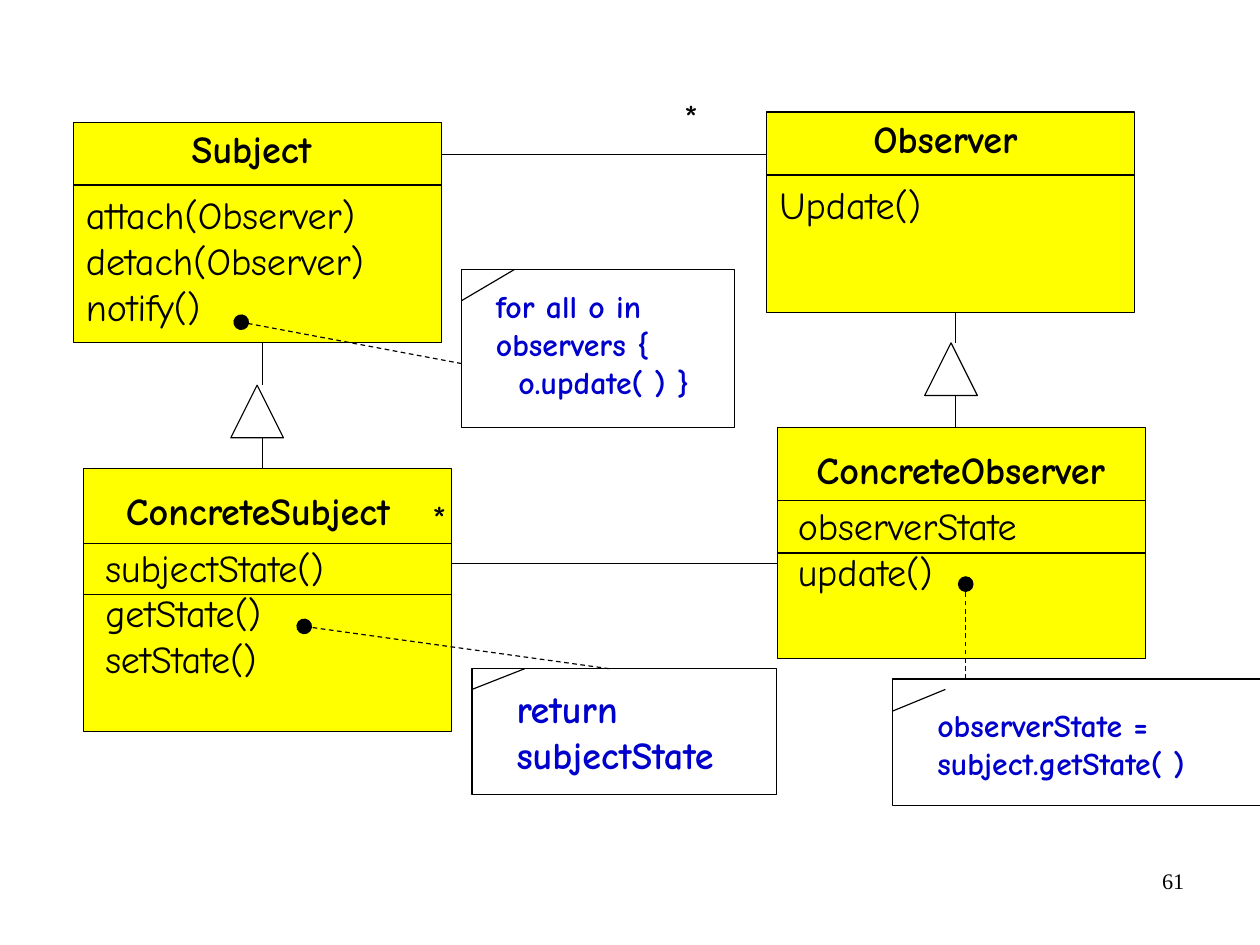
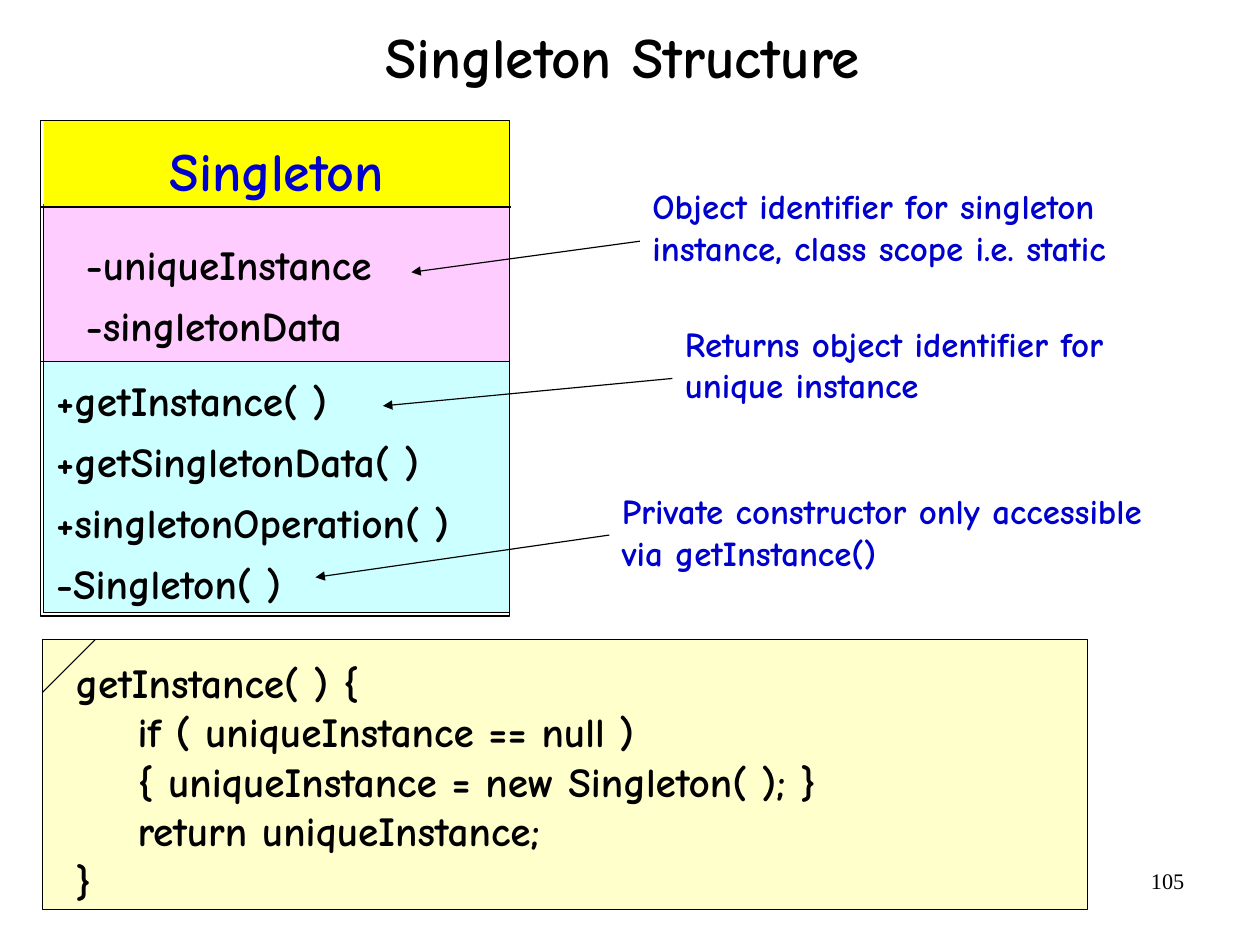
from lxml import etree
from pptx import Presentation
from pptx.dml.color import RGBColor
from pptx.enum.dml import MSO_LINE
from pptx.enum.shapes import MSO_CONNECTOR, MSO_SHAPE
from pptx.enum.text import MSO_ANCHOR, PP_ALIGN
from pptx.oxml.ns import qn
from pptx.util import Cm, Pt

RECT = MSO_SHAPE.RECTANGLE
TRIANGLE = MSO_SHAPE.ISOSCELES_TRIANGLE
STRAIGHT = MSO_CONNECTOR.STRAIGHT
DASH = MSO_LINE.DASH
LEFT, CENTER, RIGHT = PP_ALIGN.LEFT, PP_ALIGN.CENTER, PP_ALIGN.RIGHT
TOP, MIDDLE = MSO_ANCHOR.TOP, MSO_ANCHOR.MIDDLE

COLORS = {"black": "000000", "blue": "0000CC", "yellow": "FFFF00",
          "pink": "FFCCFF", "cyan": "CCFFFF", "cream": "FFFFCC"}
FONT, NUMBER_FONT = "Comic Neue", "Times New Roman"
LINE_WIDTH = Pt(0.75)
FOLD = 1.17
MEMBER_WIDTH = 7.7


def add_item(s, kind, at, fill=None, line="black", lines=(), size=24, color="black",
             bold=False, align=LEFT, anchor=TOP, font=FONT, spacing=None, after=0):
    """Add a preset shape, or a text box if kind is None; return its paragraphs.

    A line of text may be a pair of text and left indent in cm.
    """
    box = [Cm(v) for v in at]
    if kind is None:
        sp = s.shapes.add_textbox(*box)
    else:
        sp = s.shapes.add_shape(kind, *box)
        sp.shadow.inherit = False
        if fill:
            sp.fill.solid()
            sp.fill.fore_color.rgb = RGBColor.from_string(COLORS[fill])
        else:
            sp.fill.background()
        if line:
            sp.line.color.rgb = RGBColor.from_string(COLORS[line])
            sp.line.width = LINE_WIDTH
        else:
            sp.line.fill.background()
    tf = sp.text_frame
    tf.word_wrap = True
    tf.vertical_anchor = anchor
    tf.margin_left = tf.margin_right = Cm(0.28)
    tf.margin_top = tf.margin_bottom = Cm(0.15)
    for i, text in enumerate(lines):
        text, indent = text if isinstance(text, tuple) else (text, 0)
        p = tf.add_paragraph() if i else tf.paragraphs[0]
        p.alignment = align
        p.space_after = Pt(after)
        if spacing:
            p.line_spacing = spacing
        if indent:
            p._p.get_or_add_pPr().set("marL", str(Cm(indent)))
        r = p.add_run()
        r.text = text
        r.font.name = font
        r.font.size = Pt(size)
        r.font.bold = bold
        r.font.color.rgb = RGBColor.from_string(COLORS[color])


def add_line(s, x1, y1, x2, y2, tail=None, tail_size="med", dash=None):
    c = s.shapes.add_connector(STRAIGHT, Cm(x1), Cm(y1), Cm(x2), Cm(y2))
    c.line.color.rgb = RGBColor.from_string(COLORS["black"])
    c.line.width = LINE_WIDTH
    if dash:
        c.line.dash_style = dash
    if tail:
        etree.SubElement(c.line._get_or_add_ln(), qn("a:tailEnd"),
                         type=tail, w=tail_size, len=tail_size)
    etree.SubElement(c._element.spPr, qn("a:effectLst"))


prs = Presentation()
prs.slide_width, prs.slide_height = Cm(28), Cm(21)
slides = []
for number in ("61", "105"):
    s = prs.slides.add_slide(prs.slide_layouts[6])
    add_item(s, None, (20.07, 19.13, 6.53, 1.45), lines=[number], size=14,
             align=RIGHT, font=NUMBER_FONT)
    slides.append(s)
observer_slide, singleton_slide = slides

# Observer: class boxes
s = observer_slide
# name, box, name centre, name height, dividers, members at, members
classes = [
    ("Subject", (1.63, 2.72, 8.18, 4.9), 5.59, 1.17, [4.11], (1.63, 4.11),
     ["attach(Observer)", "detach(Observer)", "notify()"]),
    ("Observer", (17.04, 2.49, 8.18, 4.45), 21.01, 1.17, [3.89], (17.04, 3.89),
     ["Update()"]),
    ("ConcreteObserver", (17.27, 9.5, 8.18, 5.13), 21.35, 1.85, [11.13, 12.29],
     (17.45, 11.02), ["observerState", "update()"]),
    ("ConcreteSubject", (1.85, 10.41, 8.18, 5.84), 5.73, 1.85, [12.07, 13.21],
     (2.06, 11.94), ["subjectState()", "getState()", "setState()"]),
]
for name, box, center, name_height, dividers, (x, y), members in classes:
    left, top, width, height = box
    add_item(s, RECT, box, fill="yellow")
    for divider in dividers:
        add_line(s, left, divider, left + width, divider)
    add_item(s, None, (center - MEMBER_WIDTH / 2, top, MEMBER_WIDTH, name_height),
             lines=[name], bold=True, align=CENTER, anchor=MIDDLE)
    add_item(s, None, (x, y, MEMBER_WIDTH, 1.17 * len(members)), lines=members)

# Observer: inheritance, from parent bottom to child top
for left, top, stem, parent, child in [(20.55, 7.62, 21.23, 6.94, 9.5),
                                       (5.13, 8.56, 5.84, 7.62, 10.41)]:
    add_item(s, TRIANGLE, (left, top, 1.17, 1.17))
    add_line(s, stem, parent, stem, top)
    add_line(s, stem, top + 1.17, stem, child)

# Observer: associations
for x1, x2, y in [(9.81, 17.04, 3.43), (10.03, 17.27, 12.52)]:
    add_line(s, x1, y, x2, y)
for x, y in [(14.91, 1.95), (9.32, 10.85)]:
    add_item(s, None, (x, y, 1.04, 1.32), lines=["*"])

# Observer: notes
# box, fold top, fold height, text at, size, text, dashed link
notes = [
    ((19.84, 15.09, 8.18, 2.82), 15.32, 0.48, (20.55, 15.54, 7.29, 1.98), 20,
     ["observerState =", "subject.getState( )"], (21.46, 15.09, 21.46, 12.98)),
    ((10.49, 14.86, 6.76, 2.79), 14.86, 0.46, (11.2, 15.09, 5.94, 2.34), 24,
     ["return", "subjectState"], (13.54, 14.86, 6.76, 13.92)),
    ((10.26, 5.99, 6.07, 3.51), 5.99, 0.69, (10.74, 6.22, 5.56, 2.84), 20,
     ["for all o in", "observers {", "  o.update( ) }"], (10.26, 8.08, 5.36, 7.16)),
]
for box, fold_top, fold_height, text_at, size, lines, link in notes:
    add_item(s, RECT, box)
    add_line(s, box[0] + FOLD, fold_top, box[0], fold_top + fold_height)
    add_item(s, None, text_at, lines=lines, size=size, color="blue", bold=True)
    add_line(s, *link, tail="oval", tail_size="lg", dash=DASH)

# Singleton: class box
s = singleton_slide
add_item(s, None, (1.93, -0.41, 23.8, 3.51), lines=["Singleton Structure"], size=36,
         bold=True, align=CENTER, anchor=MIDDLE, spacing=0.88)
add_item(s, RECT, (0.97, 8.03, 10.36, 5.59), fill="cyan")
add_item(s, RECT, (0.97, 4.55, 10.36, 3.48), fill="pink")
add_item(s, RECT, (0.97, 2.69, 10.36, 1.93), fill="yellow", line=None,
         lines=["Singleton"], size=34, color="blue", bold=True, align=CENTER,
         spacing=1.15)
add_item(s, RECT, (0.91, 2.67, 10.41, 11.02))
for at, members in [
    ((1.63, 5, 9, 2.95), ["-uniqueInstance", "-singletonData"]),
    ((0.97, 8.03, 10.34, 5.72), ["+getInstance( )", "+getSingletonData( )",
                                 "+singletonOperation( )", "-Singleton( )"]),
]:
    add_item(s, None, at, lines=members, size=26, bold=True, spacing=1.15, after=2.6)
add_line(s, 0.89, 8.03, 11.1, 8.03)
add_line(s, 0.89, 4.6, 11.35, 4.6)

# Singleton: remarks, each with an arrow from its left edge
for x, y, lines, start_y, end in [
    (14.22, 3.96, ["Object identifier for singleton",
                   "instance, class scope i.e. static"], 5.36, (9.14, 6.05)),
    (14.94, 7.01, ["Returns object identifier for", "unique instance"],
     8.41, (8.51, 9.02)),
    (13.54, 10.74, ["Private constructor only accessible", "via getInstance()"],
     11.89, (7.01, 12.83)),
]:
    add_item(s, None, (x, y, 13.8, 2.15), lines=lines, size=22, color="blue", bold=True)
    add_line(s, x, start_y, *end, tail="triangle")

# Singleton: code note
add_item(s, RECT, (0.94, 14.22, 23.22, 5.99), fill="cream")
add_line(s, 0.94 + FOLD, 14.22, 0.94, 14.22 + FOLD)
add_item(s, None, (1.4, 14.45, 18.97, 5.84), size=26, bold=True, lines=[
    "getInstance( ) {",
    ("if ( uniqueInstance == null )", 1.38),
    ("{ uniqueInstance = new Singleton( ); }", 1.38),
    ("return uniqueInstance;", 1.38),
    "}",
])

prs.save("out.pptx")
